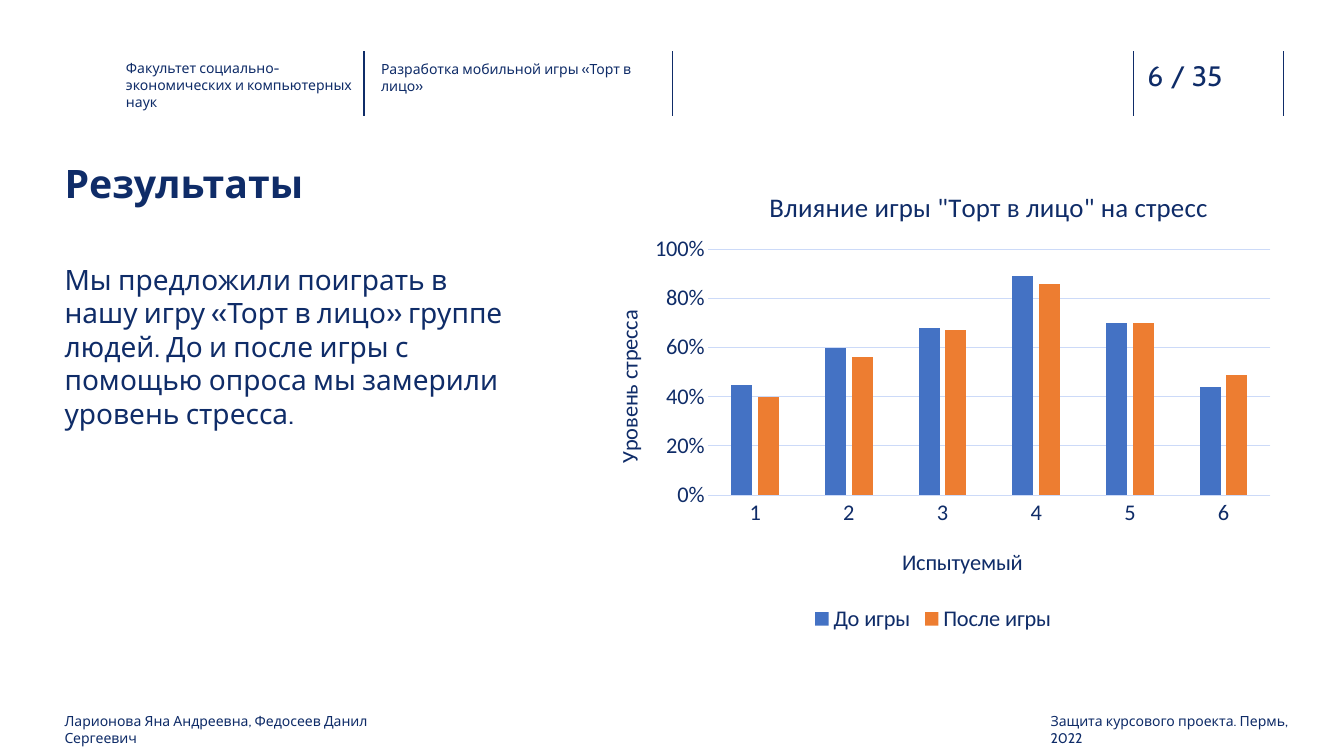
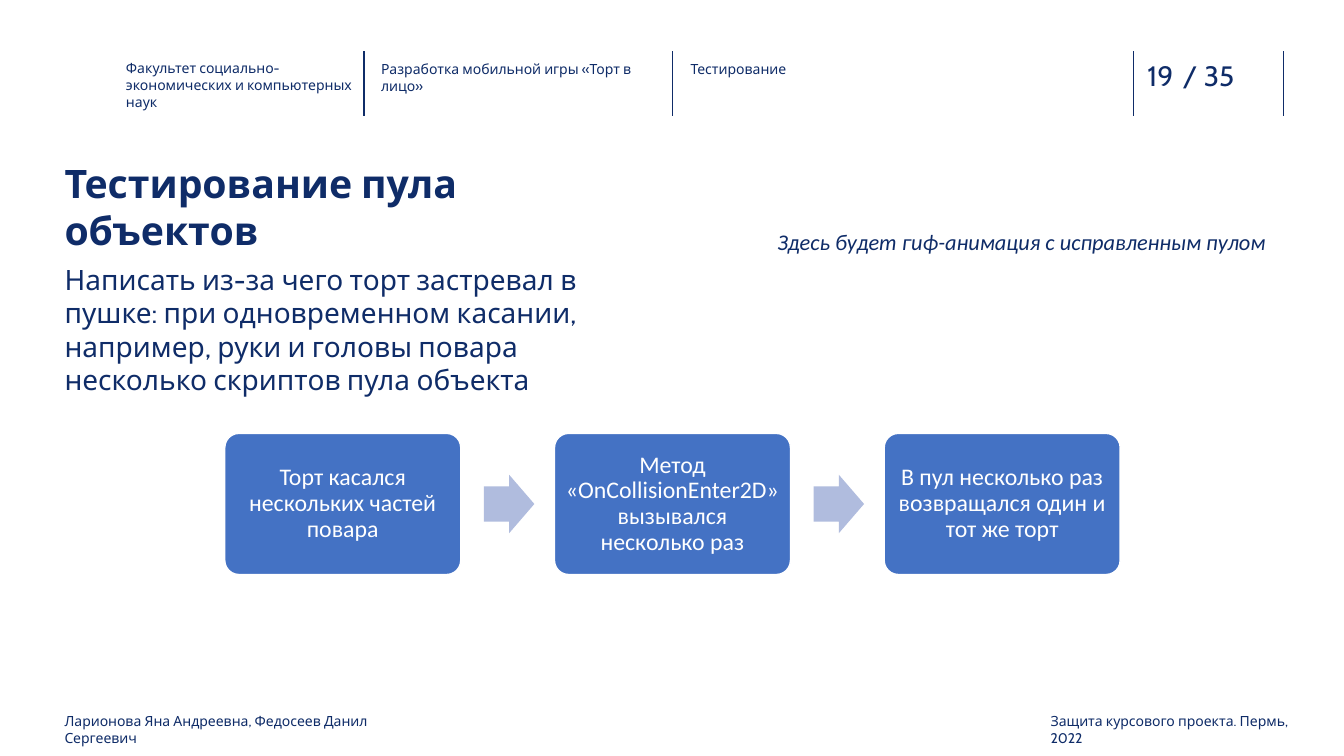
"""Build two project defence slides: survey results and object pool testing."""
from lxml.etree import SubElement
from pptx import Presentation
from pptx.chart.data import CategoryChartData
from pptx.dml.color import RGBColor
from pptx.enum.chart import XL_CHART_TYPE as ChartType
from pptx.enum.chart import XL_LEGEND_POSITION as LegendPosition
from pptx.enum.chart import XL_TICK_MARK as TickMark
from pptx.enum.shapes import MSO_CONNECTOR as Connector
from pptx.enum.shapes import MSO_SHAPE as Shape
from pptx.enum.text import MSO_ANCHOR as Anchor
from pptx.enum.text import MSO_AUTO_SIZE as AutoSize
from pptx.enum.text import PP_ALIGN as Align
from pptx.oxml.ns import qn
from pptx.util import Pt

EMU_PER_PX = 9144
NAVY = RGBColor(0x0F, 0x2C, 0x68)
BLUE = RGBColor(0x44, 0x72, 0xC4)
ORANGE = RGBColor(0xED, 0x7D, 0x31)
PALE_BLUE = RGBColor(0xCC, 0xDA, 0xF8)
ARROW_BLUE = RGBColor(0xB0, 0xBC, 0xDE)
WHITE = RGBColor(0xFF, 0xFF, 0xFF)
TEXT_FONT = "Cabin"
CHART_FONT = "Calibri"

FACULTY = "Факультет социально-экономических и компьютерных наук"
PROJECT = "Разработка мобильной игры «Торт в лицо»"
AUTHORS = "Ларионова Яна Андреевна, Федосеев Данил Сергеевич"
OCCASION = "Защита курсового проекта. Пермь, 2022"
SLIDE_TOTAL = 35
HEADER_LINES = (361, 667, 1124, 1273)


def px(*lengths):
    """Turn px lengths into a list of EMU lengths."""
    return [length * EMU_PER_PX for length in lengths]


def style_font(font, size, name=TEXT_FONT, color=NAVY, bold=False, italic=False):
    """Set the look of a font."""
    font.size = Pt(size)
    font.name = name
    font.color.rgb = color
    font.bold = bold
    font.italic = italic


def fill_frame(frame, text, size, margin=0, **look):
    """Write one left-aligned paragraph at the top of a text frame."""
    frame.text = text
    frame.word_wrap = True
    frame.auto_size = AutoSize.NONE
    frame.vertical_anchor = Anchor.TOP
    frame.margin_left = frame.margin_right = margin * EMU_PER_PX
    frame.margin_top = frame.margin_bottom = margin * EMU_PER_PX
    para = frame.paragraphs[0]
    para.alignment = Align.LEFT
    para.space_before = Pt(0)
    for span in para.runs:
        style_font(span.font, size, **look)
    return para


def add_label(slide, area, text, size=10, **look):
    """Add a text box without insets."""
    box = slide.shapes.add_textbox(*px(*area))
    return fill_frame(box.text_frame, text, size, **look)


def add_header_line(slide, x):
    """Add one upright line of the header band."""
    line = slide.shapes.add_connector(Connector.STRAIGHT, *px(x, 51, x, 115))
    line.line.color.rgb = NAVY
    line.line.width = Pt(1)
    SubElement(line.element.spPr, qn("a:effectLst"))


def place(shape, *area):
    """Move and size a shape."""
    shape.left, shape.top, shape.width, shape.height = px(*area)


def add_page(deck, number, total_left, title, body, width, section=None):
    """Add a slide with the shared header, footer, title and body text."""
    page = deck.slides.add_slide(deck.slide_layouts[1])
    heading, content = page.placeholders
    place(heading, 64, 158, width, 85)
    fill_frame(heading.text_frame, title, 28, bold=True)
    place(content, 64, 260, width, 371)
    para = fill_frame(content.text_frame, body, 20)
    properties = para._p.get_or_add_pPr()
    properties.set("marL", "0")
    properties.set("indent", "0")
    SubElement(properties, qn("a:buNone"))

    for x in HEADER_LINES:
        add_header_line(page, x)
    add_label(page, (125, 59, 226, 45), FACULTY)
    add_label(page, (378, 60, 270, 45), PROJECT)
    if section:
        add_label(page, (685, 60, 226, 45), section)
    add_label(page, (1138, 58, 73, 34), str(number), 20)
    add_label(page, (total_left, 58, 82, 58), f"/ {SLIDE_TOTAL}", 20)
    add_label(page, (64, 707, 357, 22), AUTHORS)
    add_label(page, (1042, 707, 244, 22), OCCASION)
    return page


def set_layout(element, **settings):
    """Give a chart part a fixed layout in fractions of the chart."""
    layout = element.find(qn("c:layout"))
    if layout is None:
        layout = SubElement(element, qn("c:layout"))
        element.insert(0, layout)
    manual = SubElement(layout, qn("c:manualLayout"))
    for tag, value in settings.items():
        SubElement(manual, qn(f"c:{tag}")).set("val", str(value))


def set_chart_title(title, text, size, x, y):
    """Write and place the title of a chart or an axis."""
    title.text_frame.text = text
    style_font(title.text_frame.paragraphs[0].runs[0].font, size, CHART_FONT)
    set_layout(title.element, xMode="edge", yMode="edge", x=x, y=y)


def style_axis(axis, title, x, y):
    """Format an axis and its title."""
    axis.major_tick_mark = axis.minor_tick_mark = TickMark.NONE
    style_font(axis.tick_labels.font, 16, CHART_FONT)
    set_chart_title(axis.axis_title, title, 16, x, y)


def add_stress_chart(slide):
    """Add the column chart of stress before and after the game."""
    data = CategoryChartData(number_format="0%")
    data.categories = [str(person) for person in range(1, 7)]
    data.add_series("До игры", (0.45, 0.6, 0.68, 0.89, 0.7, 0.44))
    data.add_series("После игры", (0.4, 0.56, 0.67, 0.86, 0.7, 0.49))
    chart = slide.shapes.add_chart(
        ChartType.COLUMN_CLUSTERED, *px(577, 163, 697, 469), data).chart
    style_font(chart.font, 16, CHART_FONT)
    set_chart_title(chart.chart_title, 'Влияние игры "Торт в лицо" на стресс',
                    19.2, 0.26, 0.04)

    plot = chart.plots[0]
    plot.gap_width = 219
    plot.overlap = -27
    plot.vary_by_categories = False
    for series, color in zip(plot.series, (BLUE, ORANGE)):
        series.format.fill.solid()
        series.format.fill.fore_color.rgb = color
    set_layout(chart.element.find(".//" + qn("c:plotArea")),
               layoutTarget="inner", xMode="edge", yMode="edge",
               x=0.18, y=0.18, w=0.8, h=0.52)

    people, stress = chart.category_axis, chart.value_axis
    style_axis(people, "Испытуемый", 0.45, 0.8)
    style_axis(stress, "Уровень стресса", 0.04, 0.3)
    stress.axis_title.element.find(".//" + qn("a:bodyPr")).set("rot", "-5400000")
    stress.minimum_scale, stress.maximum_scale = 0, 1
    stress.major_unit = 0.2
    stress.tick_labels.number_format = "0%"
    stress.tick_labels.number_format_is_linked = False
    stress.format.line.fill.background()
    for line in (people.format.line, stress.major_gridlines.format.line):
        line.color.rgb = PALE_BLUE
        line.width = Pt(0.75)

    chart.has_legend = True
    chart.legend.position = LegendPosition.BOTTOM
    chart.legend.include_in_layout = False
    style_font(chart.legend.font, 16, CHART_FONT)


def add_filled_shape(slide, kind, area, color, adjustments):
    """Add a flat preset shape without an outline."""
    shape = slide.shapes.add_shape(kind, *px(*area))
    shape.shadow.inherit = False
    shape.fill.solid()
    shape.fill.fore_color.rgb = color
    shape.line.fill.background()
    for index, value in enumerate(adjustments):
        shape.adjustments[index] = value
    return shape


def add_process(slide, steps, left=223, pitch=327):
    """Add a row of rounded steps joined by block arrows."""
    for index, step in enumerate(steps):
        x = left + index * pitch
        if index:
            add_filled_shape(slide, Shape.RIGHT_ARROW, (x - 70, 471, 50, 58),
                             ARROW_BLUE, (0.6, 0.5))
        box = add_filled_shape(slide, Shape.ROUNDED_RECTANGLE,
                               (x, 430, 234, 140), BLUE, (0.1,))
        box.line.color.rgb = WHITE
        box.line.width = Pt(1)
        para = fill_frame(box.text_frame, step, 17, margin=7,
                          name=CHART_FONT, color=WHITE)
        para.alignment = Align.CENTER
        para.line_spacing = 0.9
        box.text_frame.vertical_anchor = Anchor.MIDDLE


def build_results(deck):
    """Build the slide with the survey results."""
    page = add_page(
        deck, 6, 1161, "Результаты",
        "Мы предложили поиграть в нашу игру «Торт в лицо» группе людей. "
        "До и после игры с помощью опроса мы замерили уровень стресса.", 453)
    add_stress_chart(page)


def build_testing(deck):
    """Build the slide about testing the object pool."""
    page = add_page(
        deck, 19, 1173, "Тестирование пула объектов",
        "Написать из-за чего торт застревал в пушке: при одновременном касании, "
        "например, руки и головы повара несколько скриптов пула объекта",
        574, "Тестирование")
    note = add_label(page, (771, 229, 493, 404),
                     "Здесь будет гиф-анимация с исправленным пулом", 16,
                     name=CHART_FONT, italic=True)
    note.line_spacing = 0.9
    add_process(page, (
        "Торт касался нескольких частей повара",
        "Метод «OnCollisionEnter2D» вызывался несколько раз",
        "В пул несколько раз возвращался один и тот же торт"))


def main():
    """Build and save the deck."""
    deck = Presentation()
    deck.slide_width, deck.slide_height = px(1333, 750)
    build_results(deck)
    build_testing(deck)
    deck.save("out.pptx")


if __name__ == "__main__":
    main()
